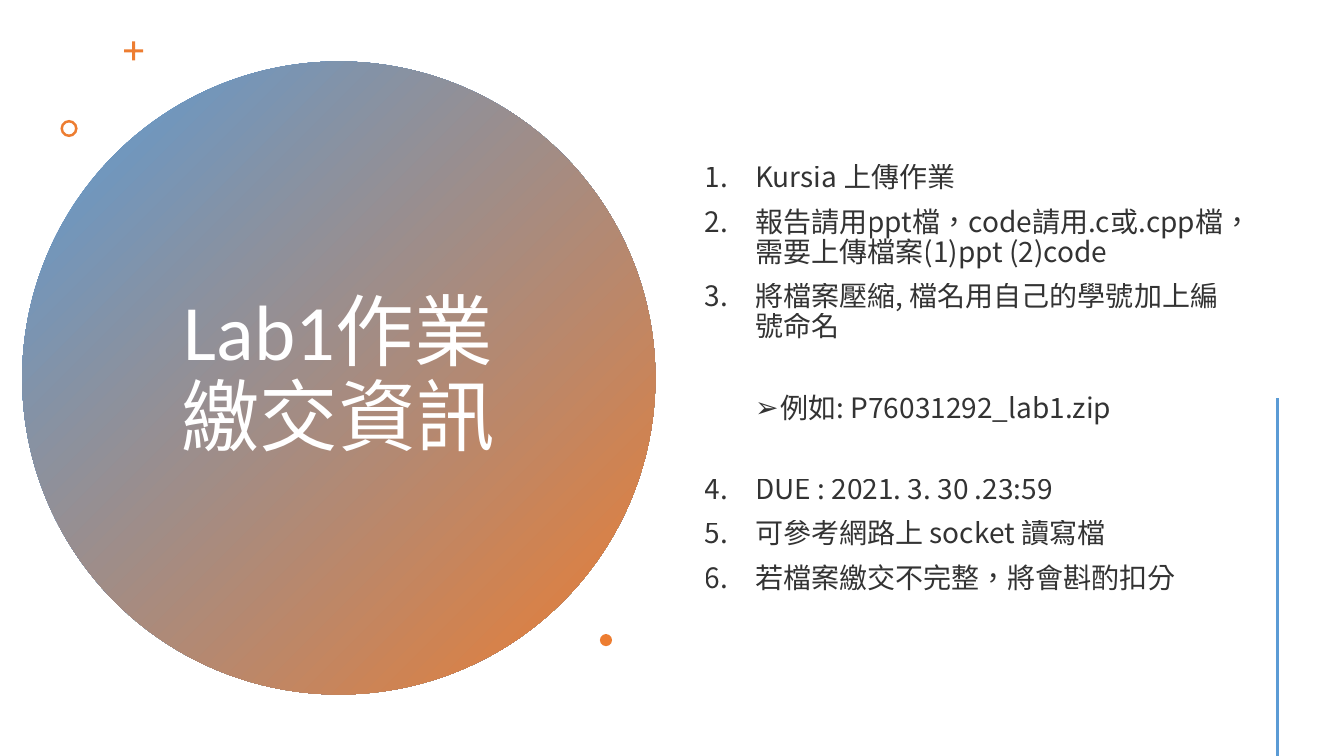
from collections import namedtuple

from lxml import etree
from pptx import Presentation
from pptx.dml.color import RGBColor
from pptx.enum import shapes, text
from pptx.oxml import ns
from pptx.util import Inches, Pt

Theme = namedtuple("Theme", "blue orange white ink title_font body_font title_size body_size")
theme = Theme(
    blue=RGBColor.from_string("5B9BD5"),
    orange=RGBColor.from_string("ED7D31"),
    white=RGBColor.from_string("FFFFFF"),
    ink=RGBColor.from_string("000000"),
    title_font="Calibri",
    body_font="Noto Sans CJK SC",
    title_size=Pt(56),
    body_size=Pt(20),
)


def add_flat(preset, left, top, size):
    """Add a square orange shape without outline or shadow."""
    flat = slide.shapes.add_shape(preset, Inches(left), Inches(top), Inches(size), Inches(size))
    flat.shadow.inherit = False
    flat.fill.solid()
    flat.fill.fore_color.rgb = theme.orange
    flat.line.fill.background()
    return flat


def place(holder, left, top, width, height):
    """Move a placeholder and centre its text vertically."""
    holder.left, holder.top = Inches(left), Inches(top)
    holder.width, holder.height = Inches(width), Inches(height)
    holder.text_frame.word_wrap = True
    holder.text_frame.auto_size = text.MSO_AUTO_SIZE.NONE
    holder.text_frame.vertical_anchor = text.MSO_ANCHOR.MIDDLE


prs = Presentation()
prs.slide_width, prs.slide_height = Inches(13.33), Inches(7.5)
slide = prs.slides.add_slide(prs.slide_layouts[1])
title, body = slide.placeholders

# Title on its gradient disc
disc = add_flat(shapes.MSO_SHAPE.OVAL, 0.22, 0.61, 6.28)
disc.fill.gradient()
disc.fill.gradient_angle = 315
for stop, color in zip(disc.fill.gradient_stops, (theme.blue, theme.orange)):
    stop.color.rgb = color
title.element.addprevious(disc.element)

place(title, 1.36, 1.41, 3.99, 4.67)
title.text_frame.text = "Lab1作業繳交資訊"
heading = title.text_frame.paragraphs[0]
heading.alignment = text.PP_ALIGN.CENTER
heading.line_spacing = 0.9
heading.font.name = theme.title_font
heading.font.size = theme.title_size
heading.font.color.rgb = theme.white

# Small ornaments around the disc
plus = add_flat(shapes.MSO_SHAPE.CROSS, 1.23, 0.41, 0.19)
plus.adjustments[0] = 0.42
ring = add_flat(shapes.MSO_SHAPE.DONUT, 0.6, 1.19, 0.17)
ring.adjustments[0] = 0.15
add_flat(shapes.MSO_SHAPE.OVAL, 5.95, 6.29, 0.12)

# Instructions: text, first number of the run (None for the example), space before
instructions = [
    ("Kursia 上傳作業", 1, 10),
    ("報告請用ppt檔，code請用.c或.cpp檔，需要上傳檔案(1)ppt (2)code", 1, 10),
    ("將檔案壓縮, 檔名用自己的學號加上編號命名", 1, 10),
    ("例如: P76031292_lab1.zip", None, 36.5),
    ("DUE : 2021. 3. 30 .23:59", 4, 36.5),
    ("可參考網路上 socket 讀寫檔", 4, 10),
    ("若檔案繳交不完整，將會斟酌扣分", 4, 10),
]
place(body, 6.89, 0.57, 5.43, 6.38)
body.text_frame.text = "\n".join(words for words, _, _ in instructions)
for item, (_, start, space) in zip(body.text_frame.paragraphs, instructions):
    item.line_spacing = 0.9
    item.space_before = Pt(space)
    item.font.size = theme.body_size
    item.font.name = theme.body_font
    item.font.color.rgb = theme.ink
    if start is None:
        item.level = 1
    margin, hanging = (0.75, 0.25) if start is None else (0.5, 0.5)

    props = item._p.pPr
    props.set("marL", str(Inches(margin)))
    props.set("indent", str(-Inches(hanging)))
    run_props = props.find(ns.qn("a:defRPr"))
    run_props.set("lang", "zh-TW")
    if start is None:
        bullet = etree.Element(ns.qn("a:buChar"), char="➢")
    else:
        bullet = etree.Element(ns.qn("a:buAutoNum"), type="arabicPeriod")
        if start > 1:
            bullet.set("startAt", str(start))
    run_props.addprevious(bullet)
    ink = run_props.find(".//" + ns.qn("a:srgbClr"))
    etree.SubElement(ink, ns.qn("a:alpha"), val="80000")
    latin = run_props.find(ns.qn("a:latin"))
    latin.addnext(etree.Element(ns.qn("a:ea"), typeface=theme.body_font))

# Rule at the right edge
rule = slide.shapes.add_connector(
    shapes.MSO_CONNECTOR.STRAIGHT, Inches(12.67), Inches(3.95), Inches(12.67), Inches(7.5))
rule.line.color.rgb = theme.blue
rule.line.width = Pt(2)
etree.SubElement(rule.element.spPr, ns.qn("a:effectLst"))

prs.save("out.pptx")
